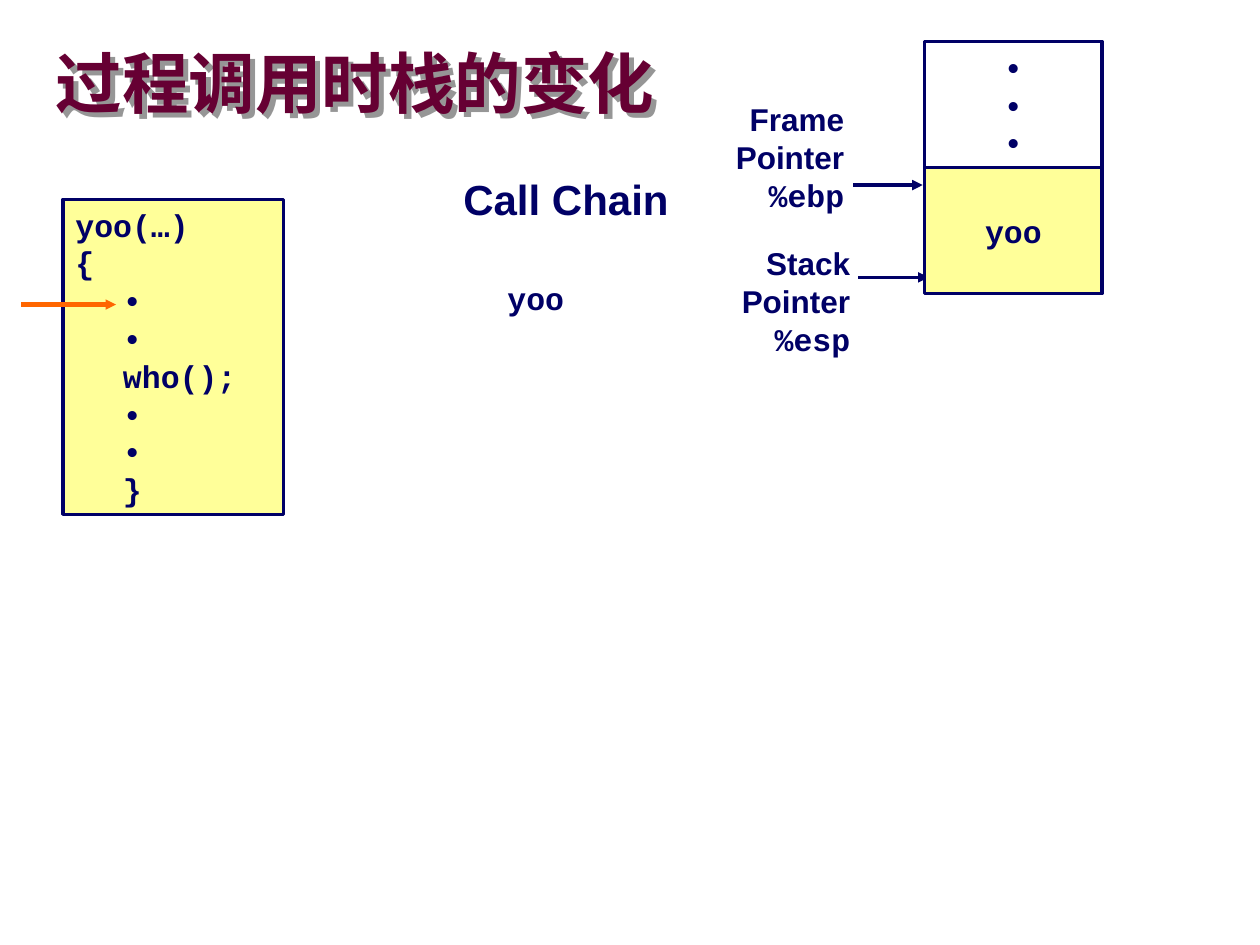
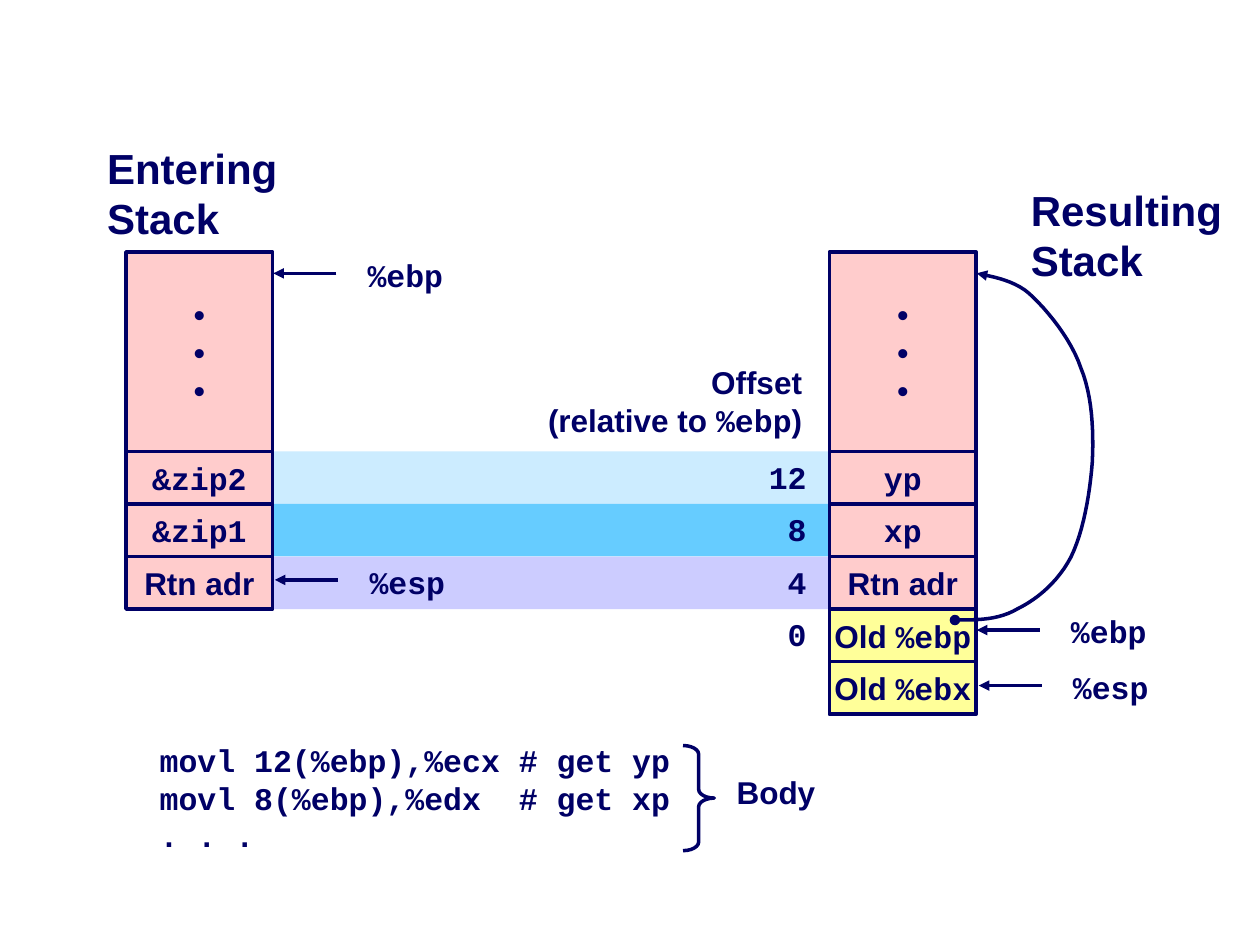
"""Builds two slides on how the stack changes during procedure calls."""
from lxml import etree
from pptx import Presentation
from pptx import util as u
from pptx.dml import color
from pptx.enum import shapes, text
from pptx.oxml import ns

HUES = {"navy": "000066", "wine": "660033", "orange": "FF6600", "yellow": "FFFF99",
        "pink": "FFCCCC", "pale": "CCECFF", "sky": "66CCFF", "lilac": "CCCCFF",
        "gray": "969696"}
FONTS = ["Arial", "Courier New"]
SIDES = {"l": text.PP_ALIGN.LEFT, "c": text.PP_ALIGN.CENTER, "r": text.PP_ALIGN.RIGHT}
RGB = {name: color.RGBColor.from_string(code) for name, code in HUES.items()}


def box(slide, x, y, w, h, lines=(), fill=None, edge=False, size=18,
        hue="navy", side="l", mid=False, wrap=True):
    """Draw a box of text; each | in a line switches between the two fonts."""
    area = [u.Cm(v) for v in (x, y, w, h)]
    if fill or edge:
        item = slide.shapes.add_shape(shapes.MSO_SHAPE.RECTANGLE, *area)
        item.shadow.inherit = False
        if fill:
            item.fill.solid()
            item.fill.fore_color.rgb = RGB[fill]
        else:
            item.fill.background()
        if edge:
            trim(item)
        else:
            item.line.fill.background()
    else:
        item = slide.shapes.add_textbox(*area)
    frame = item.text_frame
    frame.word_wrap = wrap
    frame.vertical_anchor = text.MSO_ANCHOR.MIDDLE if mid else text.MSO_ANCHOR.TOP
    for n, line in enumerate(lines):
        para = frame.add_paragraph() if n else frame.paragraphs[0]
        para.alignment = SIDES[side]
        para.line_spacing = u.Pt(round(size * 1.2, 1))
        for k, part in enumerate(line.split("|")):
            if part:
                run = para.add_run()
                run.text = part
                run.font.size = u.Pt(size)
                run.font.bold = True
                run.font.color.rgb = RGB[hue]
                run.font.name = FONTS[k % 2]
    return item


def trim(item, hue="navy", wide=2, head=None, tail=None, size="med"):
    """Style a line and put ends on it."""
    item.line.color.rgb = RGB[hue]
    item.line.width = u.Pt(wide)
    ln = item.line._get_or_add_ln()
    for tag, kind in (("a:headEnd", head), ("a:tailEnd", tail)):
        if kind:
            etree.SubElement(ln, ns.qn(tag), type=kind, w=size, len=size)


prs = Presentation()
prs.slide_width, prs.slide_height = u.Cm(25.4), u.Cm(19.05)
call, body = [prs.slides.add_slide(prs.slide_layouts[6]) for _ in range(2)]

title = box(call, 1.12, 0.69, 24.2, 2.16, ["过程调用时栈的变化"],
            size=38, hue="wine", mid=True)
frame = title.text_frame
frame.margin_left = frame.margin_right = frame.margin_top = frame.margin_bottom = 0
frame.paragraphs[0].line_spacing = 0.87
glow = etree.SubElement(title._element.spPr, ns.qn("a:effectLst"))
cast = etree.SubElement(glow, ns.qn("a:outerShdw"), dist="54000", dir="2700000",
                        algn="ctr", rotWithShape="0")
etree.SubElement(cast, ns.qn("a:srgbClr"), val=HUES["gray"])

code = box(call, 1.27, 4.02, 4.45, 6.35,
           ["|yoo(…)", "|{", "|•", "|•", "|who();", "|•", "|•", "|}"],
           "yellow", True)
for para in code.text_frame.paragraphs[2:]:
    para._p.get_or_add_pPr().set("marL", str(u.Cm(0.96)))

WIDE, ROW, TOP, BASE = 2.96, 1.06, 5.08, 9.1
LEFT, RIGHT = 2.54, 16.72
for n, hue in enumerate(["pale", "sky", "lilac"]):
    box(body, LEFT + WIDE, BASE + n * ROW, RIGHT - LEFT - WIDE, ROW, fill=hue)

for slide, x1, x2, y, hue, wide, size in [
        (call, 17.2, 18.6, 3.73, "navy", 2, "med"),
        (call, 17.3, 18.72, 5.59, "navy", 2, "med"),
        (call, 0.43, 2.34, 6.14, "orange", 3, "sm"),
        (body, 6.78, 5.51, 5.51, "navy", 2, "med"),
        (body, 6.81, 5.54, 11.69, "navy", 2, "med"),
        (body, 20.96, 19.69, 12.7, "navy", 2, "med"),
        (body, 21.0, 19.73, 13.82, "navy", 2, "med")]:
    arrow = slide.shapes.add_connector(
        shapes.MSO_CONNECTOR.STRAIGHT, u.Cm(x1), u.Cm(y), u.Cm(x2), u.Cm(y))
    trim(arrow, hue, wide, tail="triangle", size=size)
    etree.SubElement(arrow._element.spPr, ns.qn("a:effectLst"))

box(call, 18.64, 0.84, 3.58, 2.54, ["|•"] * 3, edge=True, side="c")
box(call, 18.64, 3.38, 3.58, 2.54, ["|yoo"], "yellow", True, side="c", mid=True)
box(call, 14.27, 1.9, 3.0, 2.54, ["Frame", "Pointer", "|%ebp"], side="r")
box(call, 14.39, 4.8, 3.0, 2.54, ["Stack", "Pointer", "|%esp"], side="r")
box(call, 8.91, 3.38, 5.0, 1.27, ["Call Chain"], size=24, side="c")
box(call, 9.98, 5.51, 2.0, 1.02, ["|yoo"])

for x, cells in [
        (LEFT, ["|&zip2", "|&zip1", "Rtn adr"]),
        (RIGHT, ["|yp", "|xp", "Rtn adr", "Old |%ebp", "Old |%ebx"])]:
    box(body, x, TOP, WIDE, BASE - TOP, ["•"] * 3, "pink", True, side="c", mid=True)
    for n, cell in enumerate(cells):
        box(body, x, BASE + n * ROW, WIDE, ROW, [cell], "pink" if n < 3 else "yellow",
            True, side="c", mid=True, wrap=False)

for n in range(4):
    box(body, 14.9, BASE + n * ROW, 1.61, 1.02, [f"|{12 - 4 * n}"], side="r")
for x, y, name in [(7.16, 5.03, "ebp"), (7.2, 11.23, "esp"),
                   (21.34, 12.22, "ebp"), (21.38, 13.34, "esp")]:
    box(body, x, y, 2.4, 1.02, [f"|%{name}"])
box(body, 10.02, 7.19, 6.4, 1.78, ["Offset", "(relative to |%ebp|)"], side="r")
box(body, 1.91, 2.74, 4.4, 2.29, ["Entering", "Stack"], size=24)
box(body, 20.53, 3.59, 4.8, 2.29, ["Resulting", "Stack"], size=24)

bends = [(19.25, 12.5), (19.71, 12.5), (20.14, 12.5), (20.52, 12.27),
         (20.93, 12.07), (21.34, 11.71), (21.59, 11.23),
         (21.84, 10.72), (21.97, 9.96), (22.02, 9.32),
         (22.05, 8.69), (22.02, 7.98), (21.79, 7.42),
         (21.59, 6.83), (21.11, 6.25), (20.75, 5.92),
         (20.4, 5.61), (19.86, 5.56), (19.69, 5.51)]
dots = []
for k in range(0, len(bends) - 1, 3):
    for step in range(1, 13):
        t = step / 12
        mix = ((1 - t) ** 3, 3 * t * (1 - t) ** 2, 3 * t * t * (1 - t), t ** 3)
        dots.append(tuple(u.Cm(sum(m * p[axis] for m, p in zip(mix, bends[k:k + 4])))
                          for axis in (0, 1)))
pen = body.shapes.build_freeform(u.Cm(bends[0][0]), u.Cm(bends[0][1]))
pen.add_line_segments(dots, close=False)
link = pen.convert_to_shape()
link.shadow.inherit = False
link.fill.background()
trim(link, head="oval", tail="triangle")

box(body, 2.97, 14.81, 11.5, 2.54,
    ["|movl 12(%ebp),%ecx # get yp", "|movl 8(%ebp),%edx  # get xp", "|. . ."])
brace = body.shapes.add_shape(shapes.MSO_SHAPE.RIGHT_BRACE,
                              u.Cm(13.77), u.Cm(15.03), u.Cm(0.63), u.Cm(2.12))
brace.adjustments[0] = 0.28
brace.shadow.inherit = False
brace.fill.background()
trim(brace)
box(body, 14.6, 15.45, 2.6, 1.02, ["Body"])

prs.save("out.pptx")
